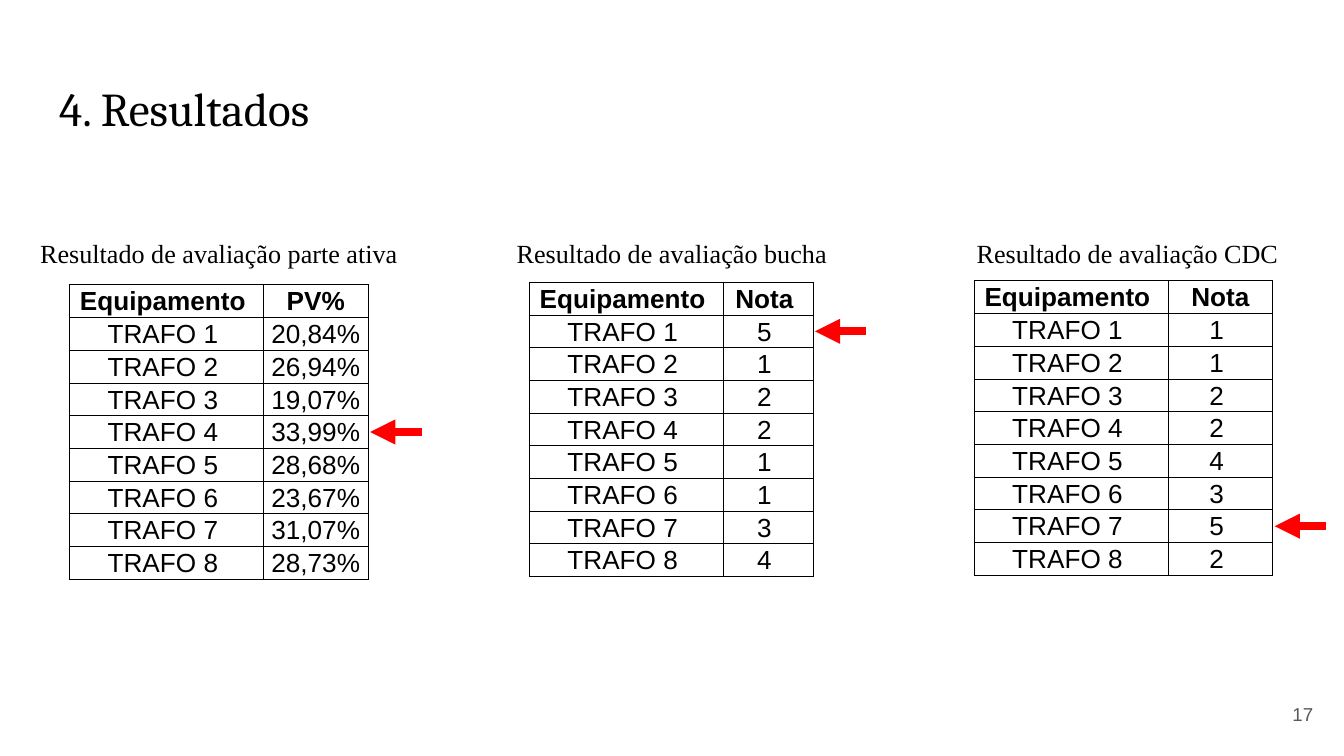
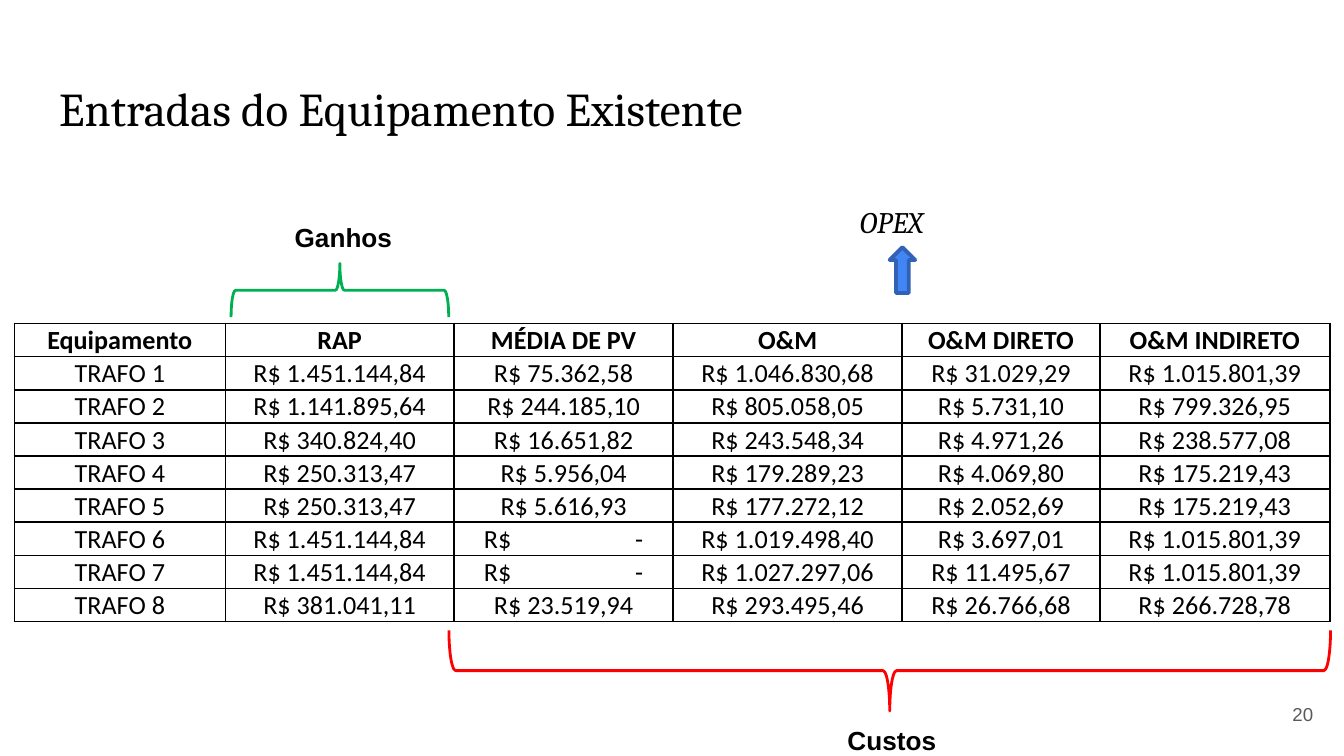
"""Build two slides on transformer assessment results and cost inputs."""
from dataclasses import dataclass

from lxml.etree import SubElement
from pptx import Presentation
from pptx.dml.color import RGBColor as RGB
from pptx.enum.shapes import MSO_CONNECTOR as Connector, MSO_SHAPE as Shape
from pptx.enum.text import MSO_ANCHOR as Anchor, MSO_AUTO_SIZE as AutoSize, PP_ALIGN as Align
from pptx.oxml.ns import qn
from pptx.util import Pt

NBSP = chr(160)


@dataclass(frozen=True)
class Theme:
    black: str = "000000"
    white: str = "FFFFFF"
    gray: str = "595959"
    red: str = "FF0000"
    green: str = "00B050"
    blue: str = "4285F4"
    dark_blue: str = "3162B5"
    heading: str = "Cambria"
    body: str = "Arial"
    caption: str = "Times New Roman"
    figures: str = "Calibri"
    title_size: float = 25.2
    label_size: float = 16
    body_size: float = 14
    number_size: float = 10


class Deck:
    def __init__(self, theme):
        self.theme = theme
        self.prs = Presentation()
        self.prs.slide_width, self.prs.slide_height = Pt(720), Pt(405)
        self.s = None

    def style(self, p, font, size, color=None, bold=False, italic=False, align=Align.CENTER):
        p.alignment = align
        p.font.name, p.font.size = font, Pt(size)
        p.font.bold, p.font.italic = bold, italic
        p.font.color.rgb = RGB.from_string(color or self.theme.black)

    def slide(self, title, number):
        t = self.theme
        self.s = self.prs.slides.add_slide(self.prs.slide_layouts[5])
        self.s.background.fill.solid()
        self.s.background.fill.fore_color.rgb = RGB.from_string(t.white)
        sp = self.s.shapes.title
        sp.left, sp.top, sp.width, sp.height = Pt(24.5), Pt(35.3), Pt(671), Pt(45.4)
        tf = sp.text_frame
        tf.text = title
        self.frame(tf, Anchor.TOP)
        self.style(tf.paragraphs[0], t.heading, t.title_size, align=Align.LEFT)
        tf = self.text(str(number), 667.4, 367.2, 43.2, 31, t.body, t.number_size,
                       color=t.gray, align=Align.RIGHT)
        self.frame(tf, Anchor.MIDDLE)

    def frame(self, tf, anchor):
        tf.auto_size = AutoSize.NONE
        tf.word_wrap = True
        tf.vertical_anchor = anchor
        tf.margin_left = tf.margin_right = tf.margin_top = tf.margin_bottom = Pt(7.2)

    def text(self, text, x, y, w, h, font, size, wrap=True, **style):
        tf = self.s.shapes.add_textbox(Pt(x), Pt(y), Pt(w), Pt(h)).text_frame
        tf.text = text
        tf.word_wrap = wrap
        tf.auto_size = AutoSize.SHAPE_TO_FIT_TEXT
        self.style(tf.paragraphs[0], font, size, **style)
        return tf

    def table(self, rows, x, y, widths, row_height, font, border):
        frame = self.s.shapes.add_table(len(rows), len(widths), Pt(x), Pt(y),
                                        Pt(sum(widths)), Pt(row_height * len(rows)))
        tbl = frame.table
        tbl.first_row = tbl.horz_banding = False
        for col, width in zip(tbl.columns, widths):
            col.width = Pt(width)
        for i, values in enumerate(rows):
            tbl.rows[i].height = Pt(row_height)
            for j, value in enumerate(values):
                self.cell(tbl.cell(i, j), value, font, border, bold=i == 0)

    def cell(self, cell, value, font, border, bold):
        cell.text = value
        cell.vertical_anchor = Anchor.MIDDLE
        cell.margin_left = cell.margin_right = cell.margin_top = Pt(0.7)
        cell.margin_bottom = 0
        p = cell.text_frame.paragraphs[0]
        self.style(p, font, self.theme.body_size, bold=bold)
        if "\t" in value:
            self.spread(cell, p)
        tc_pr = cell._tc.get_or_add_tcPr()
        for side in ("lnL", "lnR", "lnT", "lnB"):
            ln = SubElement(tc_pr, qn(f"a:{side}"), w=str(Pt(border)))
            fill = SubElement(ln, qn("a:solidFill"))
            SubElement(fill, qn("a:srgbClr"), val=self.theme.black)
        cell.fill.background()

    def spread(self, cell, p):
        cell.margin_left = Pt(16)
        p.alignment = Align.LEFT
        p_pr = p._p.get_or_add_pPr()
        tabs = SubElement(p_pr, qn("a:tabLst"))
        SubElement(tabs, qn("a:tab"), pos=str(Pt(81)), algn="l")
        p_pr.insert(0, tabs)

    def arrow(self, x, y, length):
        cxn = self.s.shapes.add_connector(Connector.STRAIGHT, Pt(x + length), Pt(y), Pt(x), Pt(y))
        cxn.line.color.rgb = RGB.from_string(self.theme.red)
        cxn.line.width = Pt(4.5)
        sp_pr = cxn.element.spPr
        SubElement(sp_pr.find(qn("a:ln")), qn("a:tailEnd"), type="triangle")
        SubElement(sp_pr, qn("a:effectLst"))

    def shape(self, kind, x, y, w, h, line, width, fill=None):
        sp = self.s.shapes.add_shape(kind, Pt(x), Pt(y), Pt(w), Pt(h))
        sp.shadow.inherit = False
        sp.line.color.rgb = RGB.from_string(line)
        sp.line.width = Pt(width)
        if fill:
            sp.fill.solid()
            sp.fill.fore_color.rgb = RGB.from_string(fill)
        else:
            sp.fill.background()
        return sp

    def brace(self, x, y, w, h, color, rotation):
        sp = self.shape(Shape.RIGHT_BRACE, x + (w - h) / 2, y + (h - w) / 2, h, w, color, 1.5)
        sp.rotation = rotation


def results(deck):
    t = deck.theme
    deck.slide("4. Resultados", 17)
    row_height, name_width = 17.52, 103.7
    ratings = [
        ("parte ativa", 9.4, 37.4, 152.6, 56.2, "PV%",
         ["20,84%", "26,94%", "19,07%", "33,99%", "28,68%", "23,67%", "31,07%", "28,73%"], 4),
        ("bucha", 252, 283.7, 151.2, 48.2, "Nota" + NBSP,
         [f"{n}{NBSP}" for n in (5, 1, 2, 2, 1, 1, 3, 4)], 1),
        ("CDC", 496.1, 522, 150.5, 56.2, "Nota",
         [f"{n}{NBSP}" for n in (1, 1, 2, 2, 4, 3, 5, 2)], 7),
    ]
    for part, caption_x, x, y, width, header, values, worst in ratings:
        deck.text(f"Resultado de avaliação {part}", caption_x, 123.8, 216, 24.2,
                  t.caption, t.body_size)
        rows = [("Equipamento" + NBSP, header)]
        rows += [(f"TRAFO {i}{NBSP}", value) for i, value in enumerate(values, 1)]
        deck.table(rows, x, y, (name_width, width), row_height, t.body, 0.5)
        deck.arrow(x + name_width + width + 1, y + (worst + 0.5) * row_height, 27.6)


def inputs(deck):
    t = deck.theme
    deck.slide("Entradas do Equipamento Existente", 20)
    amounts = [
        ("1.451.144,84", "75.362,58", "1.046.830,68", "31.029,29", "1.015.801,39"),
        ("1.141.895,64", "244.185,10", "805.058,05", "5.731,10", "799.326,95"),
        ("340.824,40", "16.651,82", "243.548,34", "4.971,26", "238.577,08"),
        ("250.313,47", "5.956,04", "179.289,23", "4.069,80", "175.219,43"),
        ("250.313,47", "5.616,93", "177.272,12", "2.052,69", "175.219,43"),
        ("1.451.144,84", "-", "1.019.498,40", "3.697,01", "1.015.801,39"),
        ("1.451.144,84", "-", "1.027.297,06", "11.495,67", "1.015.801,39"),
        ("381.041,11", "23.519,94", "293.495,46", "26.766,68", "266.728,78"),
    ]
    rows = [("Equipamento", "RAP", "MÉDIA DE PV", "O&M", "O&M DIRETO", "O&M INDIRETO")]
    for i, values in enumerate(amounts, 1):
        rows.append([f"TRAFO {i}"] + ["R$\t-" if v == "-" else f"R$ {v}" for v in values])
    deck.table(rows, 7.7, 173.3, (113, 122.6, 117.4, 122.6, 106, 123.1), 17.52, t.figures, 1)
    for label, x, y in (("Custos", 437.8, 384.5), ("Ganhos", 144, 115.2)):
        deck.text(label, x, y, 80, 24.2, t.body, t.body_size, bold=True)
    deck.brace(240.5, 337.7, 472.3, 43.2, t.red, 90)
    deck.brace(123.8, 141.1, 116.6, 28.8, t.green, 270)
    deck.text("OPEX", 453.6, 105.8, 58.3, 26.6, t.heading, t.label_size,
              wrap=False, italic=True, align=Align.LEFT)
    deck.shape(Shape.UP_ARROW, 476.6, 132.5, 13.7, 24.5, t.dark_blue, 2, t.blue)


def main():
    deck = Deck(Theme())
    results(deck)
    inputs(deck)
    deck.prs.save("out.pptx")


if __name__ == "__main__":
    main()
